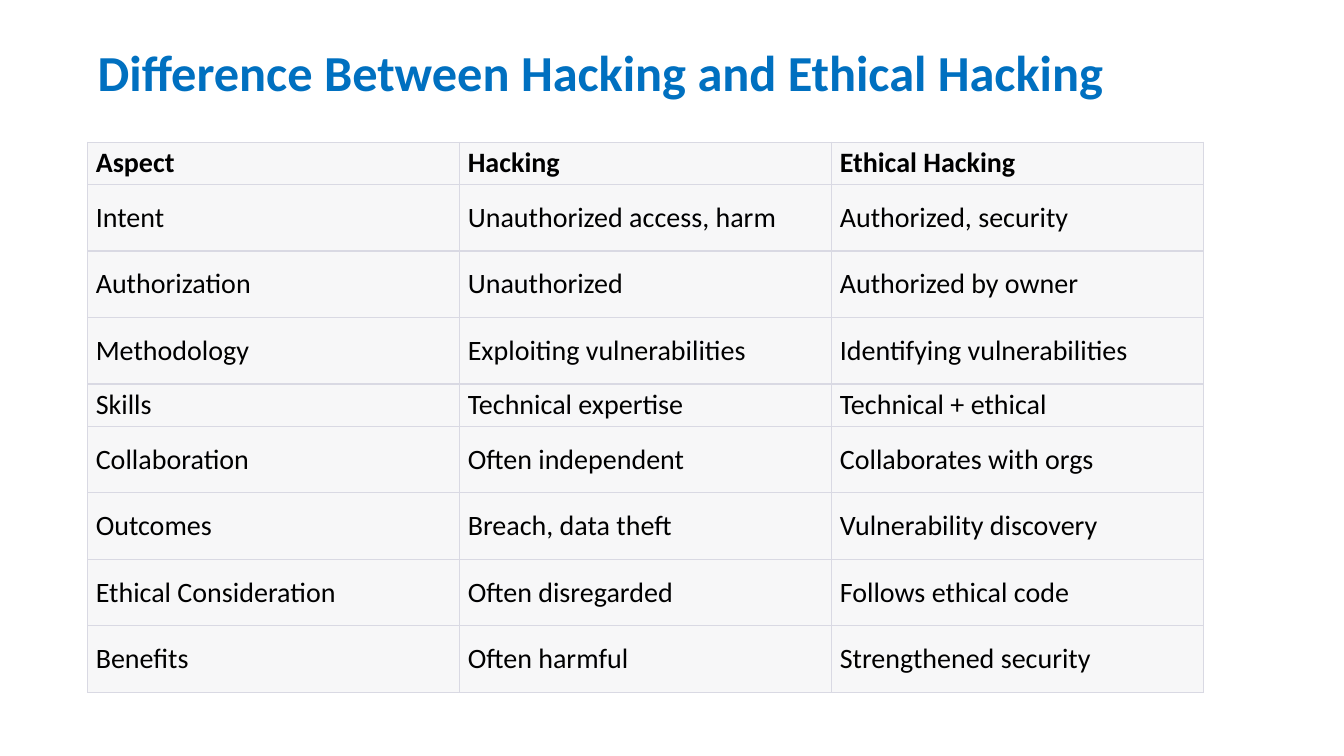
from pptx import Presentation
from pptx.dml.color import RGBColor
from pptx.enum.text import MSO_ANCHOR
from pptx.oxml import parse_xml
from pptx.oxml.ns import nsdecls
from pptx.util import Inches, Pt

MIDDLE, BOTTOM = MSO_ANCHOR.MIDDLE, MSO_ANCHOR.BOTTOM

TITLE = "Difference Between Hacking and Ethical Hacking"
COMPARISON = [
    ("Aspect", "Hacking", "Ethical Hacking"),
    ("Intent", "Unauthorized access, harm", "Authorized, security"),
    ("Authorization", "Unauthorized", "Authorized by owner"),
    ("Methodology", "Exploiting vulnerabilities", "Identifying vulnerabilities"),
    ("Skills", "Technical expertise", "Technical + ethical"),
    ("Collaboration", "Often independent", "Collaborates with orgs"),
    ("Outcomes", "Breach, data theft", "Vulnerability discovery"),
    ("Ethical Consideration", "Often disregarded", "Follows ethical code"),
    ("Benefits", "Often harmful", "Strengthened security"),
]
COMPACT_ASPECTS = ("Aspect", "Skills")

THEME = {
    "font": "Calibri",
    "title_color": "0070C0",
    "text_color": "000000",
    "cell_color": "F7F7F8",
    "border_color": "D9D9E3",
    "title_size": 36,
    "cell_size": 20,
    "outer_border": 0.75,
    "row_border": 1,
}

LEFT = 0.87
TITLE_TOP, TITLE_WIDTH, TITLE_HEIGHT = 0.26, 10.49, 0.98
TABLE_TOP, COLUMN_WIDTH = 1.41, 3.69
ROW_HEIGHT, COMPACT_HEIGHT = 0.66, 0.42
CELL_PAD_X, CELL_PAD_Y = 0.08, 0.04


def add_run(paragraph, text, size, color, bold):
    run = paragraph.add_run()
    run.text = text
    run.font.name = THEME["font"]
    run.font.size = Pt(size)
    run.font.bold = bold
    run.font.color.rgb = RGBColor.from_string(color)


def add_border(cell, side, width):
    cell._tc.get_or_add_tcPr().append(parse_xml(
        f'<a:ln{side} {nsdecls("a")} w="{Pt(width)}"><a:solidFill>'
        f'<a:srgbClr val="{THEME["border_color"]}"/></a:solidFill></a:ln{side}>'
    ))


def add_title(slide):
    title = slide.shapes.add_textbox(
        Inches(LEFT), Inches(TITLE_TOP), Inches(TITLE_WIDTH), Inches(TITLE_HEIGHT)
    )
    frame = title.text_frame
    frame.word_wrap = True
    frame.vertical_anchor = MIDDLE
    heading = frame.paragraphs[0]
    heading.line_spacing = 0.9
    add_run(heading, TITLE, THEME["title_size"], THEME["title_color"], True)


def fill_cell(cell, text, is_header, is_last):
    cell.margin_left = cell.margin_right = Inches(CELL_PAD_X)
    cell.margin_top = cell.margin_bottom = Inches(CELL_PAD_Y)
    cell.vertical_anchor = BOTTOM if is_header else MIDDLE
    outer, inner = THEME["outer_border"], THEME["row_border"]
    add_border(cell, "L", outer)
    add_border(cell, "R", outer)
    add_border(cell, "T", outer if is_header else inner)
    add_border(cell, "B", outer if is_last else inner)
    cell.fill.solid()
    cell.fill.fore_color.rgb = RGBColor.from_string(THEME["cell_color"])
    add_run(cell.text_frame.paragraphs[0], text,
            THEME["cell_size"], THEME["text_color"], is_header)


def add_comparison(slide):
    heights = [COMPACT_HEIGHT if row[0] in COMPACT_ASPECTS else ROW_HEIGHT
               for row in COMPARISON]
    column_count = len(COMPARISON[0])
    comparison = slide.shapes.add_table(
        len(COMPARISON), column_count, Inches(LEFT), Inches(TABLE_TOP),
        Inches(COLUMN_WIDTH * column_count), Inches(sum(heights))
    ).table
    comparison.horz_banding = False
    for column in comparison.columns:
        column.width = Inches(COLUMN_WIDTH)
    for r, (texts, height) in enumerate(zip(COMPARISON, heights)):
        comparison.rows[r].height = Inches(height)
        for c, text in enumerate(texts):
            fill_cell(comparison.cell(r, c), text, r == 0, r == len(COMPARISON) - 1)


def main():
    deck = Presentation()
    deck.slide_width, deck.slide_height = Inches(13.33), Inches(7.5)
    slide = deck.slides.add_slide(deck.slide_layouts[6])
    add_title(slide)
    add_comparison(slide)
    deck.save("out.pptx")


if __name__ == "__main__":
    main()
